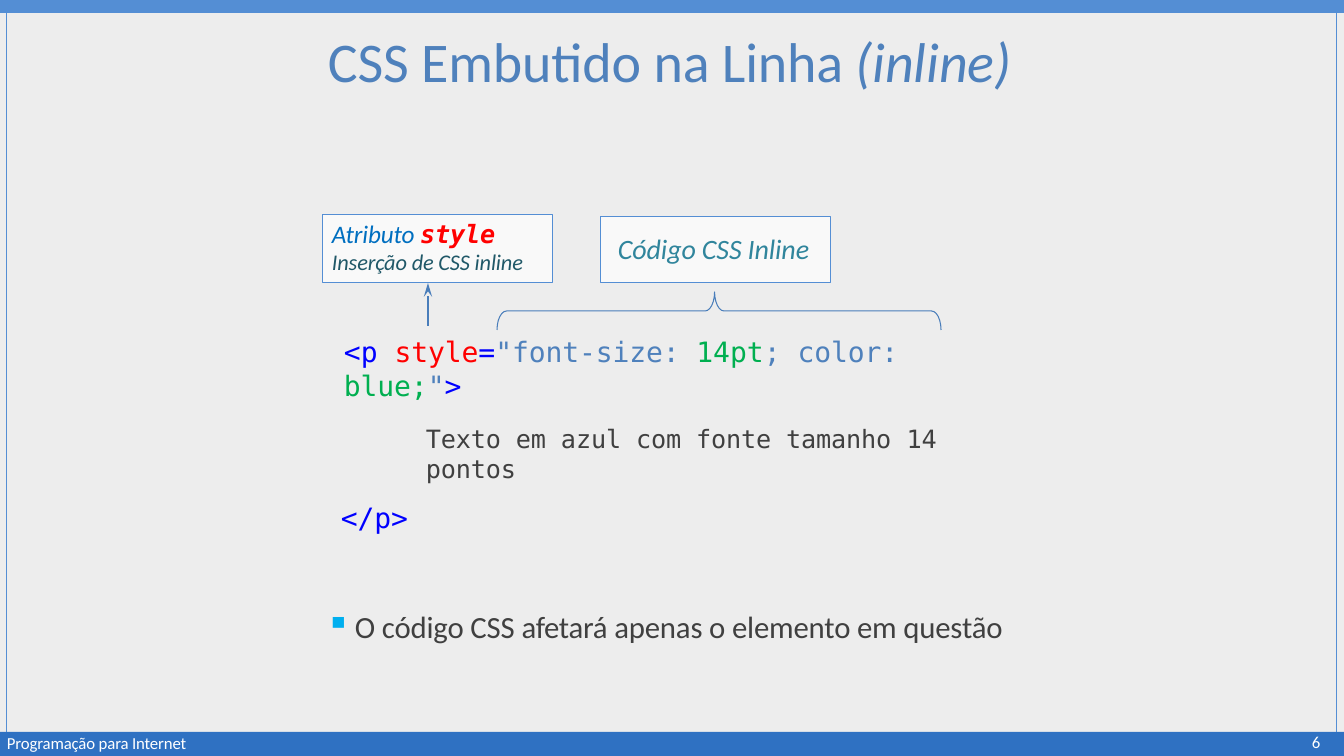
import pptx
import pptx.dml.color
import pptx.enum.shapes
import pptx.enum.text
import pptx.oxml
import pptx.oxml.ns
import pptx.util

EMU_PER_PX = 12192000 / 1344

theme = {
    "body_font": "Calibri", "code_font": "DejaVu Sans Mono",
    "title_size": 40, "bullet_size": 22, "code_size": 20, "note_size": 18,
    "detail_size": 16, "footer_size": 12,
    "background": "EDEDED", "top_bar": "548ED4", "bottom_bar": "2F71C2",
    "box": "F9F9F9", "marker": "497DBA", "title": "4F81BC", "text": "404040",
    "tag": "0000FF", "attribute": "FF0000", "value": "00AF50",
    "note": "006FC0", "detail": "205868", "css": "30859C",
    "bullet": "00AFEF", "white": "FFFFFF",
}
MONO, ITALIC, BOLD = "mono", "italic", "bold"


def px(length):
    return pptx.util.Emu(round(length * EMU_PER_PX))


def color(name):
    return pptx.dml.color.RGBColor.from_string(theme[name])


presentation = pptx.Presentation()
presentation.slide_width, presentation.slide_height = px(1344), px(756)
slide = presentation.slides.add_slide(presentation.slide_layouts[6])
slide.background.fill.solid()
slide.background.fill.fore_color.rgb = color("background")
shape_kinds = pptx.enum.shapes.MSO_SHAPE

# Frame, bars and note boxes: left, top, width, height, fill, line, line width
panels = {
    "frame": (7, 5, 1330, 730, None, "top_bar", 0.75),
    "bottom bar": (0, 732, 1344, 24, "bottom_bar", None, 0),
    "top bar": (0, 0, 1344, 13, "top_bar", None, 0),
    "attribute": (322, 214, 230, 68, "box", "top_bar", 0.5),
    "css": (600, 216, 230, 66, "box", "top_bar", 0.5),
}
frames = {}
for name, (left, top, width, height, fill, line, line_width) in panels.items():
    shape = slide.shapes.add_shape(
        shape_kinds.RECTANGLE, px(left), px(top), px(width), px(height))
    shape.shadow.inherit = False
    if fill:
        shape.fill.solid()
        shape.fill.fore_color.rgb = color(fill)
    else:
        shape.fill.background()
    if line:
        shape.line.color.rgb = color(line)
        shape.line.width = pptx.util.Pt(line_width)
    else:
        shape.line.fill.background()
    frames[name] = shape.text_frame

# Text boxes: left, top, width, height
text_boxes = {
    "title": (327, 26, 690, 70),
    "code": (324, 334, 689, 202),
    "bullet": (324, 608, 689, 40),
    "footer": (6, 736, 187, 19),
    "number": (1308, 735, 25, 19),
}
for name, bounds in text_boxes.items():
    frames[name] = slide.shapes.add_textbox(*map(px, bounds)).text_frame

# Paragraphs: frame, left margin, space before, runs (text, size, color, spacing, styles)
paragraphs = [
    ("title", 1, 0, [("CSS Embutido na Linha ", "title_size", "title", -10, ()),
                     ("(inline)", "title_size", "title", -10, (ITALIC,))]),
    ("attribute", 10, 0, [("Atributo ", "note_size", "note", -10, (ITALIC,)),
                          ("style", "note_size", "attribute", -10, (MONO, ITALIC, BOLD))]),
    ("attribute", 10, 0, [("Inserção de CSS inline", "detail_size", "detail", -10, (ITALIC,))]),
    ("css", 18, 0, [("Código CSS Inline", "code_size", "css", -10, (ITALIC,))]),
    ("code", 20, 0, [("<p ", "code_size", "tag", 0, (MONO,)),
                     ("style", "code_size", "attribute", -10, (MONO,)),
                     ("=", "code_size", "tag", -10, (MONO,)),
                     ("\"font-size: ", "code_size", "title", -10, (MONO,)),
                     ("14pt", "code_size", "value", 0, (MONO,)),
                     ("; ", "code_size", "title", 0, (MONO,)),
                     ("color: ", "code_size", "title", -10, (MONO,)),
                     ("blue;", "code_size", "value", -10, (MONO,)),
                     ("\"", "code_size", "title", -10, (MONO,)),
                     (">", "code_size", "tag", -10, (MONO,))]),
    ("code", 102, 14.9, [("Texto em azul com fonte tamanho ", "note_size", "text", -10, (MONO,)),
                         ("14 ", "note_size", "text", 0, (MONO,)),
                         ("pontos", "note_size", "text", -10, (MONO,))]),
    ("code", 17, 12.4, [("</p>", "code_size", "tag", -10, (MONO,))]),
    ("bullet", 31, 0, [("O código CSS ", "bullet_size", "text", -10, ()),
                       ("afetará ", "bullet_size", "text", -20, ()),
                       ("apenas o elemento em questão", "bullet_size", "text", -10, ())]),
    ("footer", 1, 0, [("Programação para Internet", "footer_size", "white", -10, ())]),
    ("number", 4, 0, [("6", "footer_size", "white", 0, ())]),
]
top_insets = {"title": 1, "code": 1, "attribute": 4, "css": 15}
started = set()
for name, margin, space_before, runs in paragraphs:
    frame = frames[name]
    if name in started:
        paragraph = frame.add_paragraph()
        paragraph.space_before = pptx.util.Pt(space_before)
    else:
        started.add(name)
        paragraph = frame.paragraphs[0]
        frame.word_wrap = True
        frame.vertical_anchor = pptx.enum.text.MSO_ANCHOR.TOP
        frame.margin_left = frame.margin_right = frame.margin_bottom = 0
        frame.margin_top = px(top_insets.get(name, 0))
    paragraph.alignment = pptx.enum.text.PP_ALIGN.LEFT
    properties = paragraph._p.get_or_add_pPr()
    properties.set("marL", str(px(margin)))
    if name in ("footer", "number"):
        paragraph.line_spacing = pptx.util.Pt(12.4)
    if name == "bullet":
        properties.set("indent", str(px(-29)))
        namespace = pptx.oxml.ns.nsdecls("a")
        for element in (
                f'<a:buClr {namespace}><a:srgbClr val="{theme["bullet"]}"/></a:buClr>',
                f'<a:buSzPct {namespace} val="109000"/>',
                f'<a:buChar {namespace} char="▪"/>'):
            properties.append(pptx.oxml.parse_xml(element))
    for text, size, text_color, spacing, styles in runs:
        run = paragraph.add_run()
        run.text = text
        run.font.size = pptx.util.Pt(theme[size])
        run.font.name = theme["code_font" if MONO in styles else "body_font"]
        run.font.color.rgb = color(text_color)
        run.font.italic = ITALIC in styles
        run.font.bold = BOLD in styles
        run._r.get_or_add_rPr().set("spc", str(spacing))

# Arrow from the code up to the attribute note
arrow = slide.shapes.add_connector(
    pptx.enum.shapes.MSO_CONNECTOR.STRAIGHT, px(428), px(326), px(428), px(283))
arrow.line.color.rgb = color("marker")
arrow.line.width = pptx.util.Pt(1.25)
namespace = pptx.oxml.ns.nsdecls("a")
arrow.line._get_or_add_ln().append(pptx.oxml.parse_xml(
    f'<a:tailEnd {namespace} type="stealth" w="med" len="lg"/>'))
arrow._element.spPr.append(pptx.oxml.parse_xml(f"<a:effectLst {namespace}/>"))

# Brace over the CSS code, turned so that its tip points up
brace = slide.shapes.add_shape(
    shape_kinds.LEFT_BRACE, px(700), px(89), px(38), px(444))
brace.rotation = 90
brace.adjustments[0] = 0.25
brace.adjustments[1] = 0.51
brace.shadow.inherit = False
brace.fill.background()
brace.line.color.rgb = color("marker")
brace.line.width = pptx.util.Pt(0.75)

presentation.save("out.pptx")
